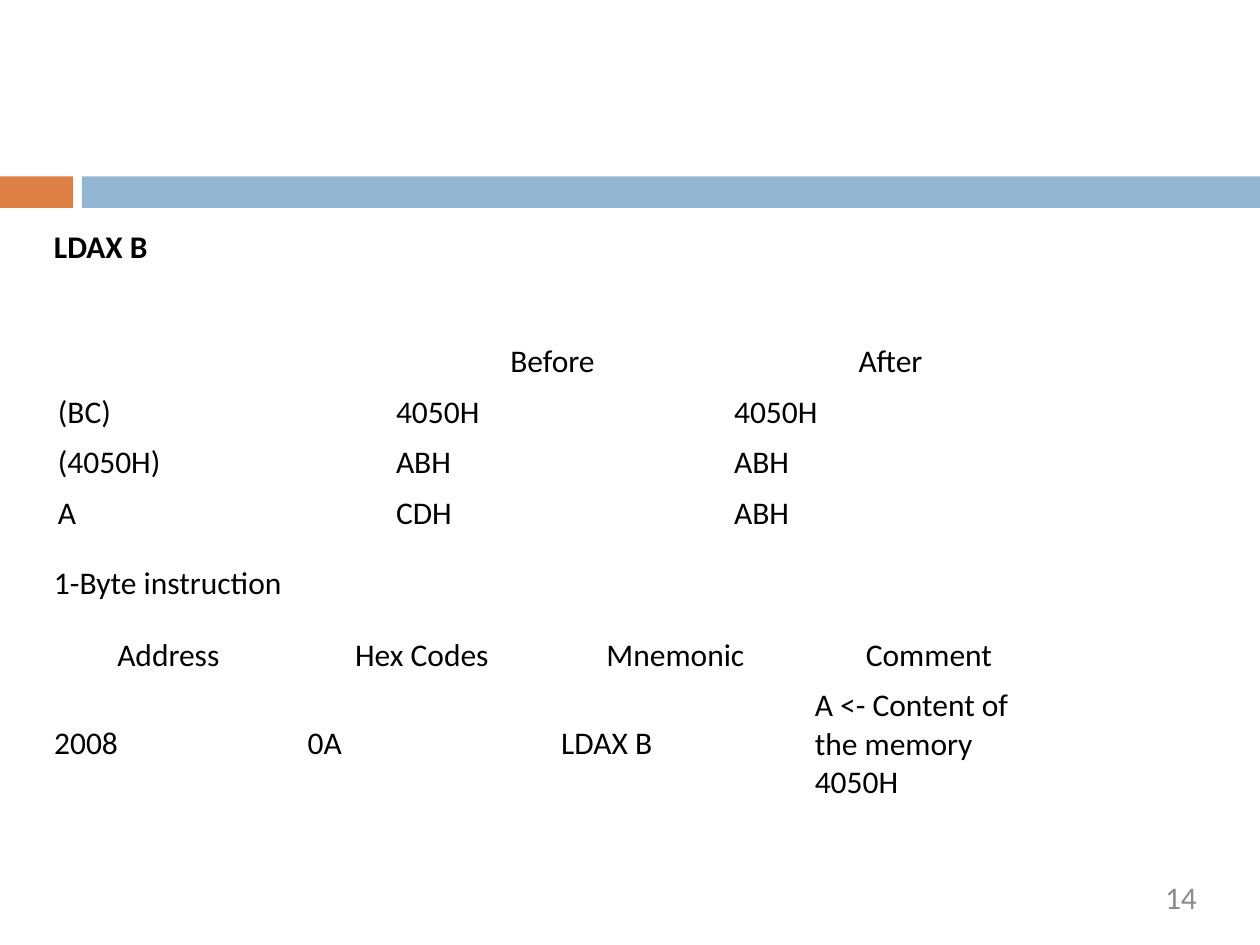
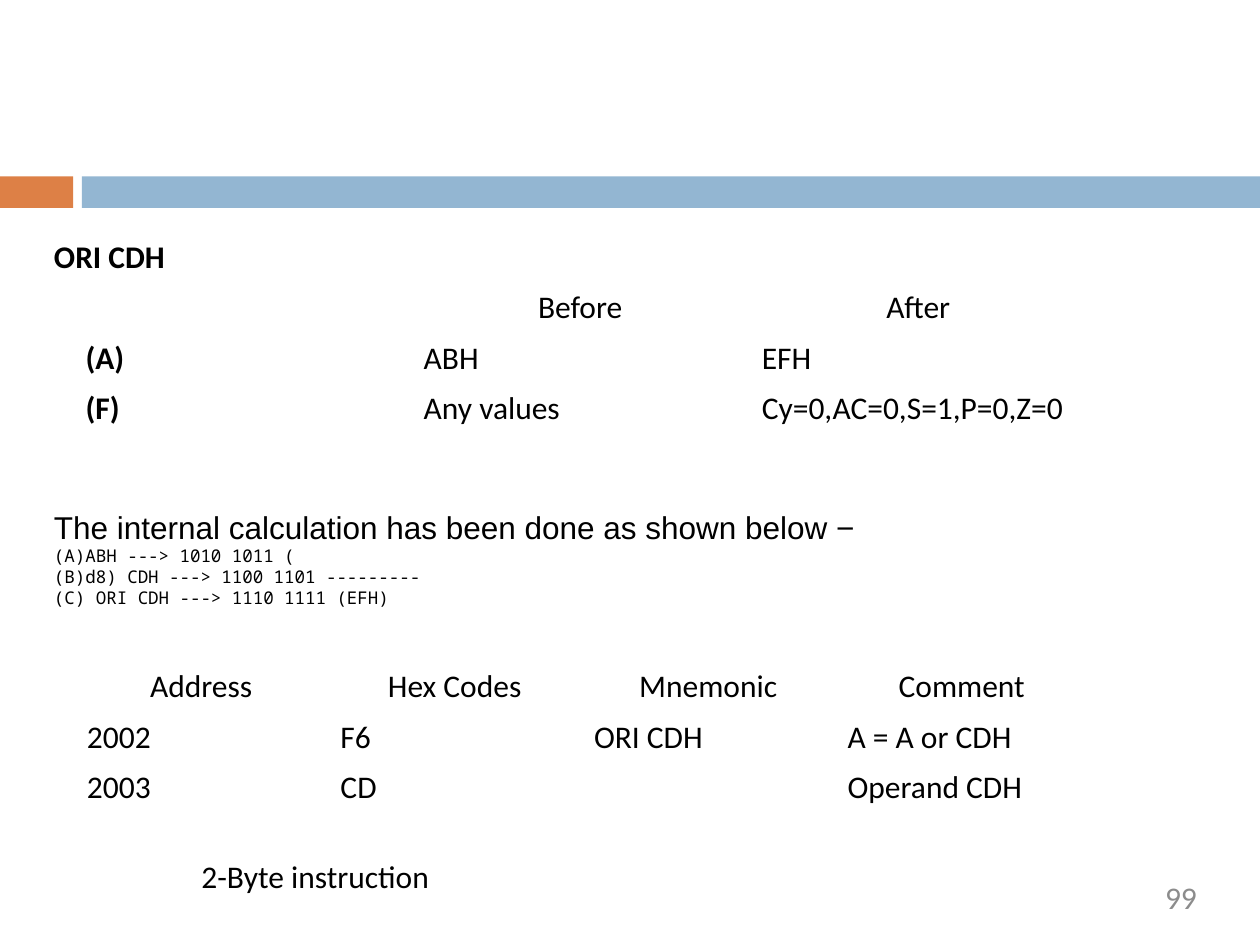
from dataclasses import dataclass

from lxml import etree
from pptx import Presentation
from pptx.dml.color import RGBColor
from pptx.enum import shapes, text
from pptx.oxml.ns import qn
from pptx.util import Pt


@dataclass(frozen=True)
class Theme:
    accent: RGBColor = RGBColor(0xDD, 0x80, 0x46)
    band: RGBColor = RGBColor(0x93, 0xB6, 0xD2)
    ink: RGBColor = RGBColor(0, 0, 0)
    muted: RGBColor = RGBColor(0x8C, 0x8C, 0x8C)
    body_font: str = "Calibri"
    intro_font: str = "Arial"
    code_font: str = "Noto Sans Mono"
    body_size: float = 18
    code_size: float = 10


@dataclass(frozen=True)
class Box:
    left: float
    top: float
    width: float
    height: float

    def lengths(self) -> tuple:
        return Pt(self.left), Pt(self.top), Pt(self.width), Pt(self.height)


@dataclass(frozen=True)
class Label:
    wording: str
    box: Box
    bold: bool = False


@dataclass(frozen=True)
class Grid:
    left: float
    top: float
    rows: tuple
    row_heights: tuple
    bold_names: bool = False


@dataclass(frozen=True)
class Calculation:
    box: Box
    intro: str
    steps: tuple


@dataclass(frozen=True)
class InstructionSlide:
    number: str
    labels: tuple
    grids: tuple
    calculation: Calculation | None = None


THEME = Theme()
SLIDE_WIDTH, SLIDE_HEIGHT = 720, 540
BANDS = (
    (Box(0, 100.8, 41.76, 18), THEME.accent),
    (Box(46.8, 100.8, 673.2, 18), THEME.band),
)
NUMBER_BOX = Box(518.4, 501.84, 165.6, 27.36)
TABLE_WIDTH = 579.6
ROW_HEIGHT = 28.8
STEP_INDENT = 18
STATE_HEADER = ("", "Before", "After")
CODE_HEADER = ("Address", "Hex Codes", "Mnemonic", "Comment")

SLIDES = (
    InstructionSlide(
        number="14",
        labels=(
            Label("LDAX B", Box(23.76, 126, 72.72, 28.8), bold=True),
            Label("1-Byte instruction", Box(23.76, 318.24, 150.48, 28.8)),
        ),
        grids=(
            Grid(25.92, 192.24, (
                STATE_HEADER,
                ("(BC)", "4050H", "4050H"),
                ("(4050H)", "ABH", "ABH"),
                ("A", "CDH", "ABH"),
            ), (ROW_HEIGHT,) * 4),
            Grid(23.76, 360, (
                CODE_HEADER,
                ("2008", "0A", "LDAX B", "A <- Content of the memory 4050H"),
            ), (ROW_HEIGHT, 72)),
        ),
    ),
    InstructionSlide(
        number="99",
        labels=(
            Label("ORI CDH", Box(23.76, 131.76, 82.8, 28.8), bold=True),
            Label("2-Byte instruction", Box(108, 486, 150.48, 28.8)),
        ),
        grids=(
            Grid(41.76, 161.28, (
                STATE_HEADER,
                ("(A)", "ABH", "EFH"),
                ("(F)", "Any values", "Cy=0,AC=0,S=1,P=0,Z=0"),
            ), (ROW_HEIGHT,) * 3, bold_names=True),
            Grid(42.48, 378, (
                CODE_HEADER,
                ("2002", "F6", "ORI CDH", "A = A or CDH"),
                ("2003", "CD", "", "Operand CDH"),
            ), (ROW_HEIGHT,) * 3),
        ),
        calculation=Calculation(
            Box(23.76, 286.56, 476.64, 64),
            "The internal calculation has been done as shown below −",
            (
                "ABH ---> 1010 1011 (",
                "d8) CDH ---> 1100 1101 ---------",
                " ORI CDH ---> 1110 1111 (EFH)",
            ),
        ),
    ),
)


def style(paragraph, color: RGBColor = THEME.ink, bold: bool = False,
          name: str = THEME.body_font, size: float = THEME.body_size) -> None:
    for run in paragraph.runs:
        run.font.name = name
        run.font.size = Pt(size)
        run.font.bold = bold
        run.font.color.rgb = color


def add_text_frame(slide, box: Box, wording: str):
    frame = slide.shapes.add_textbox(*box.lengths()).text_frame
    frame.word_wrap = False
    frame.text = wording
    return frame


def add_bands(slide) -> None:
    for box, color in BANDS:
        shape = slide.shapes.add_shape(shapes.MSO_SHAPE.RECTANGLE, *box.lengths())
        shape.shadow.inherit = False
        shape.fill.solid()
        shape.fill.fore_color.rgb = color
        shape.line.fill.background()


def add_number(slide, number: str) -> None:
    frame = add_text_frame(slide, NUMBER_BOX, number)
    frame.word_wrap = True
    frame.margin_left = frame.margin_right = 0
    frame.margin_top = frame.margin_bottom = 0
    frame.paragraphs[0].alignment = text.PP_ALIGN.RIGHT
    style(frame.paragraphs[0], THEME.muted)


def add_label(slide, label: Label) -> None:
    frame = add_text_frame(slide, label.box, label.wording)
    style(frame.paragraphs[0], bold=label.bold)


def add_grid(slide, grid: Grid) -> None:
    column_count = len(grid.rows[0])
    box = Box(grid.left, grid.top, TABLE_WIDTH, sum(grid.row_heights))
    table = slide.shapes.add_table(len(grid.rows), column_count, *box.lengths()).table
    table.first_row = table.horz_banding = False
    for column in table.columns:
        column.width = Pt(TABLE_WIDTH / column_count)
    for row_index, (wordings, height) in enumerate(zip(grid.rows, grid.row_heights)):
        table.rows[row_index].height = Pt(height)
        for column_index, wording in enumerate(wordings):
            cell = table.cell(row_index, column_index)
            cell.fill.background()
            cell.vertical_anchor = text.MSO_ANCHOR.MIDDLE
            cell.text_frame.text = wording
            paragraph = cell.text_frame.paragraphs[0]
            if row_index == 0:
                paragraph.alignment = text.PP_ALIGN.CENTER
            style(paragraph, bold=grid.bold_names and column_index == 0)


def add_letter_bullet(paragraph) -> None:
    properties = paragraph._p.get_or_add_pPr()
    properties.set("marL", str(Pt(STEP_INDENT)))
    properties.set("indent", str(-Pt(STEP_INDENT)))
    bullet = etree.SubElement(properties, qn("a:buAutoNum"))
    bullet.set("type", "alphaUcParenBoth")


def add_calculation(slide, calculation: Calculation) -> None:
    frame = add_text_frame(slide, calculation.box, calculation.intro)
    style(frame.paragraphs[0], name=THEME.intro_font)
    for step in calculation.steps:
        paragraph = frame.add_paragraph()
        paragraph.text = step
        add_letter_bullet(paragraph)
        style(paragraph, name=THEME.code_font, size=THEME.code_size)


def add_instruction_slide(presentation, content: InstructionSlide) -> None:
    slide = presentation.slides.add_slide(presentation.slide_layouts[6])
    add_bands(slide)
    add_number(slide, content.number)
    for label in content.labels:
        add_label(slide, label)
    for grid in content.grids:
        add_grid(slide, grid)
    if content.calculation:
        add_calculation(slide, content.calculation)


def main() -> None:
    presentation = Presentation()
    presentation.slide_width = Pt(SLIDE_WIDTH)
    presentation.slide_height = Pt(SLIDE_HEIGHT)
    for content in SLIDES:
        add_instruction_slide(presentation, content)
    presentation.save("out.pptx")


if __name__ == "__main__":
    main()
